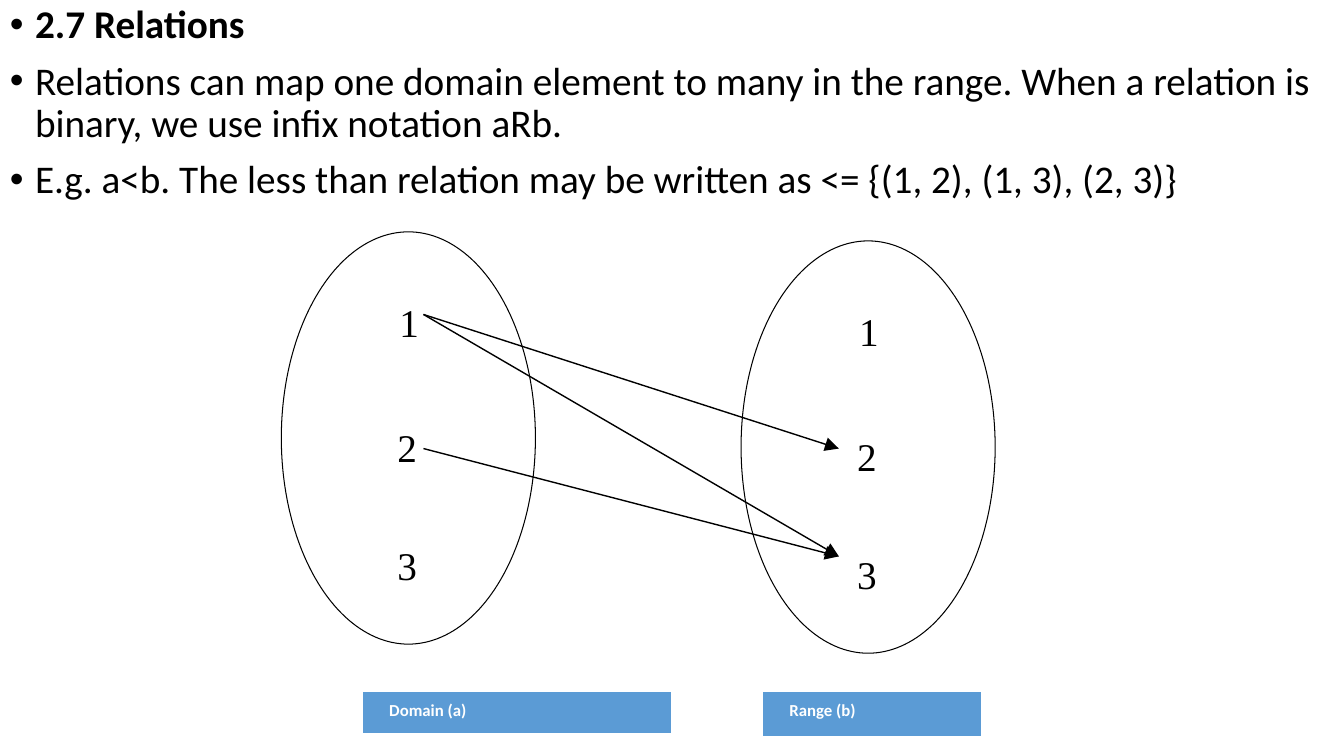
from dataclasses import dataclass

import pptx
import pptx.dml.color
import pptx.enum.shapes
import pptx.enum.text
import pptx.oxml
import pptx.oxml.ns
import pptx.util

EMU_PER_PX = 9144  # 100 px to the inch
COLORS = {"ink": "000000", "paper": "FFFFFF", "label": "5B9BD5"}
OVAL_SIZE = (252, 409)
NUMERALS = [("1", 117, 63), ("2", 115, 187), ("3", 115, 304)]  # offsets inside an oval
STATEMENTS = [
    ("2.7 Relations", True),
    ("Relations can map one domain element to many in the range. "
     "When a relation is binary, we use infix notation aRb.", False),
    ("E.g. a<b. The less than relation may be written as <= {(1, 2), (1, 3), (2, 3)}", False),
]


@dataclass
class NumberSet:
    label: str
    left: int
    top: int
    label_left: int
    label_width: int
    label_height: int


@dataclass
class Arrow:
    start: tuple[int, int]
    end: tuple[int, int]


NUMBER_SETS = [
    NumberSet("Domain (a)", 279, 230, 359, 307, 43),
    NumberSet("Range (b)", 735, 239, 756, 218, 46),
]
ARROWS = [
    Arrow((420, 312), (832, 445)),
    Arrow((420, 312), (832, 552)),
    Arrow((420, 445), (832, 552)),
]


def px(length: int) -> pptx.util.Emu:
    return pptx.util.Emu(length * EMU_PER_PX)


def color(name: str) -> pptx.dml.color.RGBColor:
    return pptx.dml.color.RGBColor.from_string(COLORS[name])


def element(xml: str):
    """Parse one DrawingML element written with the a: prefix."""
    tag, rest = xml.split(" ", 1)
    return pptx.oxml.parse_xml(f'{tag} {pptx.oxml.ns.nsdecls("a")} {rest}')


def write(paragraph, text: str, *, size: int, font: str = "Calibri", ink: str = "ink",
          bold: bool = False, spacing: float = 1.0, before: int = 0, after: int = 0,
          margin: int = 0, indent: int = 0, bullet: bool = False, align=None) -> None:
    properties = paragraph._p.get_or_add_pPr()
    properties.set("marL", str(px(margin)))
    properties.set("indent", str(px(indent)))
    if bullet:
        properties.append(element('<a:buFont typeface="Arial"/>'))
        properties.append(element('<a:buChar char="•"/>'))
    paragraph.line_spacing = spacing
    paragraph.space_before = pptx.util.Pt(before)
    paragraph.space_after = pptx.util.Pt(after)
    paragraph.alignment = align
    run = paragraph.add_run()
    run.text = text
    run.font.size = pptx.util.Pt(size)
    run.font.name = font
    run.font.bold = bold
    run.font.color.rgb = color(ink)


def add_statements(slide) -> None:
    frame = slide.shapes.add_textbox(0, 0, px(1333), px(220)).text_frame
    frame.word_wrap = True
    for index, (text, bold) in enumerate(STATEMENTS):
        paragraph = frame.add_paragraph() if index else frame.paragraphs[0]
        write(paragraph, text, size=28, bold=bold, spacing=0.9, before=10 if index else 0,
              margin=25, indent=-25, bullet=True)


def add_oval(slide, number_set: NumberSet) -> None:
    oval = slide.shapes.add_shape(pptx.enum.shapes.MSO_SHAPE.OVAL, px(number_set.left),
                                  px(number_set.top), *map(px, OVAL_SIZE))
    oval.shadow.inherit = False
    oval.fill.background()
    oval.line.color.rgb = color("ink")
    oval.line.width = pptx.util.Pt(0.75)
    for numeral, dx, dy in NUMERALS:
        frame = slide.shapes.add_textbox(px(number_set.left + dx), px(number_set.top + dy),
                                         px(18), px(30)).text_frame
        frame.margin_left = frame.margin_right = frame.margin_top = frame.margin_bottom = 0
        frame.word_wrap = True
        write(frame.paragraphs[0], numeral, size=28, font="Times New Roman", spacing=1.07,
              after=8, margin=1, indent=-1)


def add_label(slide, number_set: NumberSet) -> None:
    table = slide.shapes.add_table(1, 1, px(number_set.label_left), px(686),
                                   px(number_set.label_width), px(number_set.label_height)).table
    table.first_row = table.horz_banding = False
    cell = table.cell(0, 0)
    cell.margin_left = cell.margin_right = px(8)
    cell.margin_top, cell.margin_bottom = px(6), 0
    write(cell.text_frame.paragraphs[0], number_set.label, size=12, ink="paper", bold=True,
          spacing=1.15, margin=20, indent=-1, align=pptx.enum.text.PP_ALIGN.JUSTIFY)
    properties = cell._tc.get_or_add_tcPr()
    for side, points in (("L", 1), ("R", 1), ("T", 1), ("B", 3)):
        properties.append(element(
            f'<a:ln{side} w="{pptx.util.Pt(points)}"><a:solidFill>'
            f'<a:srgbClr val="{COLORS["paper"]}"/></a:solidFill></a:ln{side}>'))
    cell.fill.solid()
    cell.fill.fore_color.rgb = color("label")


def add_arrow(slide, arrow: Arrow) -> None:
    connector = slide.shapes.add_connector(pptx.enum.shapes.MSO_CONNECTOR.STRAIGHT,
                                           *map(px, arrow.start + arrow.end))
    connector.line.color.rgb = color("ink")
    connector.line.width = pptx.util.Pt(1)
    connector.line._get_or_add_ln().append(
        element('<a:tailEnd type="triangle" w="lg" len="lg"/>'))
    connector._element.spPr.append(element("<a:effectLst />"))


def main() -> None:
    presentation = pptx.Presentation()
    presentation.slide_width, presentation.slide_height = px(1333), px(750)
    slide = presentation.slides.add_slide(presentation.slide_layouts[6])
    add_statements(slide)
    for number_set in NUMBER_SETS:
        add_oval(slide, number_set)
        add_label(slide, number_set)
    for arrow in ARROWS:
        add_arrow(slide, arrow)
    presentation.save("out.pptx")


if __name__ == "__main__":
    main()
